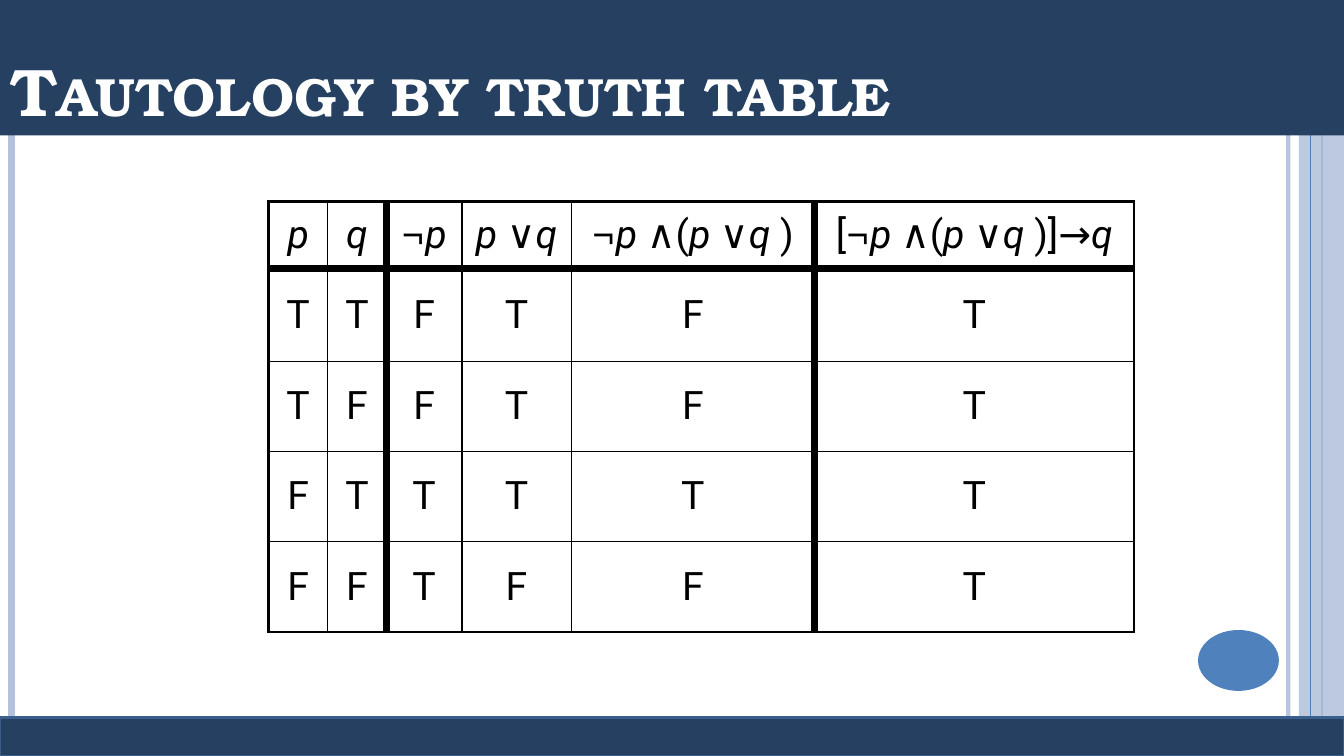
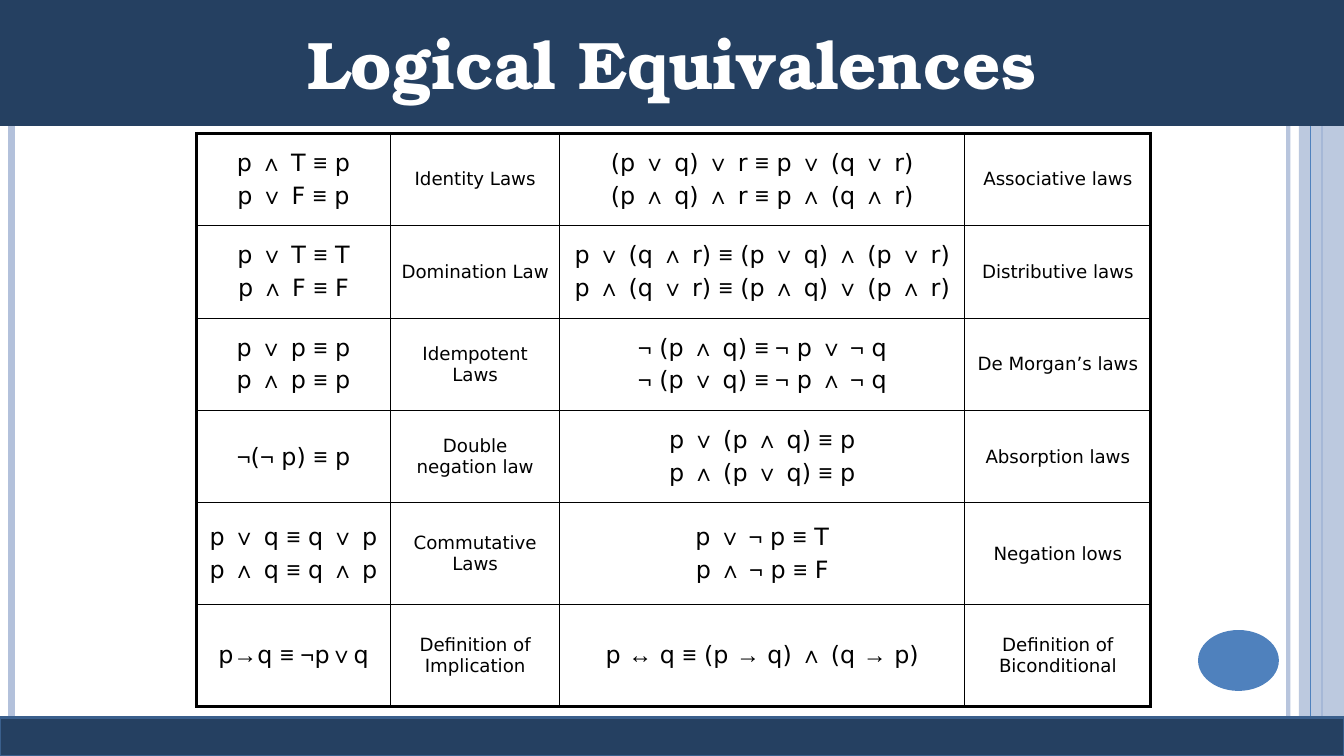
import itertools

import pptx
import pptx.dml.color
import pptx.enum.shapes
import pptx.enum.text
import pptx.oxml
import pptx.oxml.ns
import pptx.util
from lxml import etree

PX = 9525
WIDTH, HEIGHT = 1280, 720
COLOURS = {
    "navy": "254061",
    "navy edge": "3A5F8C",
    "blue": "4F81BD",
    "pale blue": "B3C1DB",
    "black": "000000",
    "white": "FFFFFF",
}
TITLE_FONT = "TeX Gyre Bonum"
LOGIC_SYMBOLS = "∧∨≡¬→↔"
SHAPES = pptx.enum.shapes.MSO_SHAPE
ANCHOR = pptx.enum.text.MSO_ANCHOR
ALIGN = pptx.enum.text.PP_ALIGN

TRUTH_ROWS = [
    ["p", "q", "¬p", "p ∨q", "¬p ∧(p ∨q )", "[¬p ∧(p ∨q )]→q"],
    *map(list, ["TTFTFT", "TFFTFT", "FTTTTT", "FFTFFT"]),
]
LAW_ROWS = [
    ["p ∧ T ≡ p\np ∨ F ≡ p", "Identity Laws",
     "(p ∨ q) ∨ r ≡ p ∨ (q ∨ r)\n(p ∧ q) ∧ r ≡ p ∧ (q ∧ r)", "Associative laws"],
    ["p ∨ T ≡ T\np ∧ F ≡ F", "Domination Law",
     "p ∨ (q ∧ r) ≡ (p ∨ q) ∧ (p ∨ r)\np ∧ (q ∨ r) ≡ (p ∧ q) ∨ (p ∧ r)",
     "Distributive laws"],
    ["p ∨ p ≡ p\np ∧ p ≡ p", "Idempotent Laws",
     "¬ (p ∧ q) ≡ ¬ p ∨ ¬ q\n¬ (p ∨ q) ≡ ¬ p ∧ ¬ q", "De Morgan’s laws"],
    ["¬(¬ p) ≡ p", "Double negation law",
     "p ∨ (p ∧ q) ≡ p\np ∧ (p ∨ q) ≡ p", "Absorption laws"],
    ["p ∨ q ≡ q ∨ p\np ∧ q ≡ q ∧ p", "Commutative Laws",
     "p ∨ ¬ p ≡ T\np ∧ ¬ p ≡ F", "Negation lows"],
    ["p→q ≡ ¬p∨q", "Definition of Implication",
     "p ↔ q ≡ (p → q) ∧ (q → p)", "Definition of Biconditional"],
]


def px(length):
    return pptx.util.Emu(length * PX)


def colour(name):
    return pptx.dml.color.RGBColor.from_string(COLOURS[name])


def set_opacity(shape, percent):
    for tint in shape.element.spPr.iter(pptx.oxml.ns.qn("a:srgbClr")):
        etree.SubElement(tint, pptx.oxml.ns.qn("a:alpha"), val=str(percent * 1000))


def add_stripe(page, x, name, points):
    """Draw a vertical line over the full height of the page."""
    stripe = page.shapes.add_connector(
        pptx.enum.shapes.MSO_CONNECTOR.STRAIGHT, px(x), 0, px(x), px(HEIGHT))
    stripe.line.color.rgb = colour(name)
    stripe.line.width = pptx.util.Pt(points)
    etree.SubElement(stripe.element.spPr, pptx.oxml.ns.qn("a:effectLst"))
    return stripe


def add_panel(page, kind, box, name):
    panel = page.shapes.add_shape(kind, *map(px, box))
    panel.shadow.inherit = False
    panel.fill.solid()
    panel.fill.fore_color.rgb = colour(name)
    panel.line.fill.background()
    return panel


def build_frame(layout, page):
    """Draw the shared decoration with the page's tools, then move it to the layout."""
    edge = add_stripe(page, 1227, "pale blue", 3)
    set_opacity(edge, 93)
    left = add_stripe(page, 11, "pale blue", 4.5)
    inner = add_stripe(page, 1259, "blue", 1.5)
    column = add_panel(page, SHAPES.RECTANGLE, (1237, 0, 43, HEIGHT), "pale blue")
    set_opacity(column, 87)
    thin = add_stripe(page, 1248, "blue", 0.75)
    disc = add_panel(page, SHAPES.OVAL, (1141, 600, 77, 58), "blue")
    footer = add_panel(page, SHAPES.RECTANGLE, (0, 683, WIDTH, 37), "navy")
    footer.line.color.rgb = colour("navy edge")
    footer.line.width = pptx.util.Pt(2)
    parts = [edge, left, inner, column, thin, disc, footer]
    for number, part in enumerate(parts, start=100):
        part.element.xpath(".//p:cNvPr")[0].set("id", str(number))
        layout.shapes.element.append(part.element)


def set_title(page, text, height, anchor, align, small_caps=False):
    title = page.shapes.title
    title.left, title.top, title.width, title.height = map(px, (0, 0, WIDTH, height))
    title.fill.solid()
    title.fill.fore_color.rgb = colour("navy")
    frame = title.text_frame
    frame.text = text
    frame.word_wrap = True
    frame.auto_size = pptx.enum.text.MSO_AUTO_SIZE.NONE
    frame.vertical_anchor = anchor
    paragraph = frame.paragraphs[0]
    paragraph.alignment = align
    span = paragraph.runs[0]
    span.font.name, span.font.size, span.font.bold = TITLE_FONT, pptx.util.Pt(48), True
    span.font.color.rgb = colour("white")
    if small_caps:
        span.font._element.set("cap", "small")


def truth_style(text, index):
    """Font, bold and italic of one character in the truth table."""
    if text[index] == "¬":
        return "Times New Roman", True, True
    return "Roboto", False, text[index] in "pq"


def law_style(text, index):
    """Font, bold and italic of one character in the table of laws."""
    between = text[index - 1:index] + text[index + 1:index + 2]
    joined = text[index] == " " and all(sign in LOGIC_SYMBOLS for sign in between)
    symbol = text[index] in LOGIC_SYMBOLS or joined
    return "Arial" if symbol else "DejaVu Sans", False, False


def write_cell(cell, text, size, style):
    cell.vertical_anchor = ANCHOR.MIDDLE
    cell.text_frame.text = text
    for number, paragraph in enumerate(cell.text_frame.paragraphs):
        line = paragraph.text
        paragraph.clear()
        paragraph.alignment = ALIGN.CENTER
        if number:
            paragraph.space_before = pptx.util.Pt(round(size * 0.2, 1))
        groups = itertools.groupby(range(len(line)), lambda index: style(line, index))
        for (name, bold, italic), indexes in groups:
            span = paragraph.add_run()
            span.text = "".join(line[index] for index in indexes)
            span.font.name, span.font.size = name, pptx.util.Pt(size)
            span.font.bold, span.font.italic = bold, italic
            span.font.color.rgb = colour("black")


def set_borders(cell, widths):
    """Draw the left, right, top and bottom borders, widths in points."""
    properties = cell._tc.get_or_add_tcPr()
    for side, points in zip("LRTB", widths):
        properties.append(pptx.oxml.parse_xml(
            f'<a:ln{side} {pptx.oxml.ns.nsdecls("a")} w="{pptx.util.Pt(points)}">'
            f'<a:solidFill><a:srgbClr val="{COLOURS["black"]}"/></a:solidFill>'
            f'</a:ln{side}>'))


def build_table(page, corner, columns, heights, rows, sizes, style, uprights, levels):
    """Place a ruled table; uprights and levels are the widths of its grid lines."""
    box = (*corner, sum(columns), sum(heights))
    table = page.shapes.add_table(len(rows), len(columns), *map(px, box)).table
    table.first_row = table.horz_banding = False
    for column, width in zip(table.columns, columns):
        column.width = px(width)
    for row, height in zip(table.rows, heights):
        row.height = px(height)
    for r, texts in enumerate(rows):
        for c, text in enumerate(texts):
            cell = table.cell(r, c)
            write_cell(cell, text, sizes[c], style)
            set_borders(cell, uprights[c:c + 2] + levels[r:r + 2])
            cell.fill.background()


def build_truth_table(page):
    set_title(page, "Tautology by truth table", 129, ANCHOR.BOTTOM, ALIGN.LEFT,
              small_caps=True)
    build_table(page, (256, 192), [56, 56, 72, 104, 232, 304], [64, 88, 86, 86, 86],
                TRUTH_ROWS, [28] * 6, truth_style,
                [2.25, 1, 6, 1, 1, 6, 2.25], [2.25, 6, 0.25, 1, 1, 2.25])


def build_laws(page):
    set_title(page, "Logical Equivalences", 120, ANCHOR.MIDDLE, ALIGN.CENTER)
    build_table(page, (187, 127), [185, 161, 386, 177], [88] * 4 + [97] * 2,
                LAW_ROWS, [17, 13, 17, 13], law_style,
                [2.25, 1, 1, 1, 2.25], [2.25, 1, 1, 1, 1, 1, 2.25])


def main():
    deck = pptx.Presentation()
    deck.slide_width, deck.slide_height = px(WIDTH), px(HEIGHT)
    layout = deck.slide_layouts.get_by_name("Title Only")
    pages = [deck.slides.add_slide(layout) for _ in range(2)]
    build_frame(layout, pages[0])
    build_truth_table(pages[0])
    build_laws(pages[1])
    deck.save("out.pptx")


if __name__ == "__main__":
    main()
